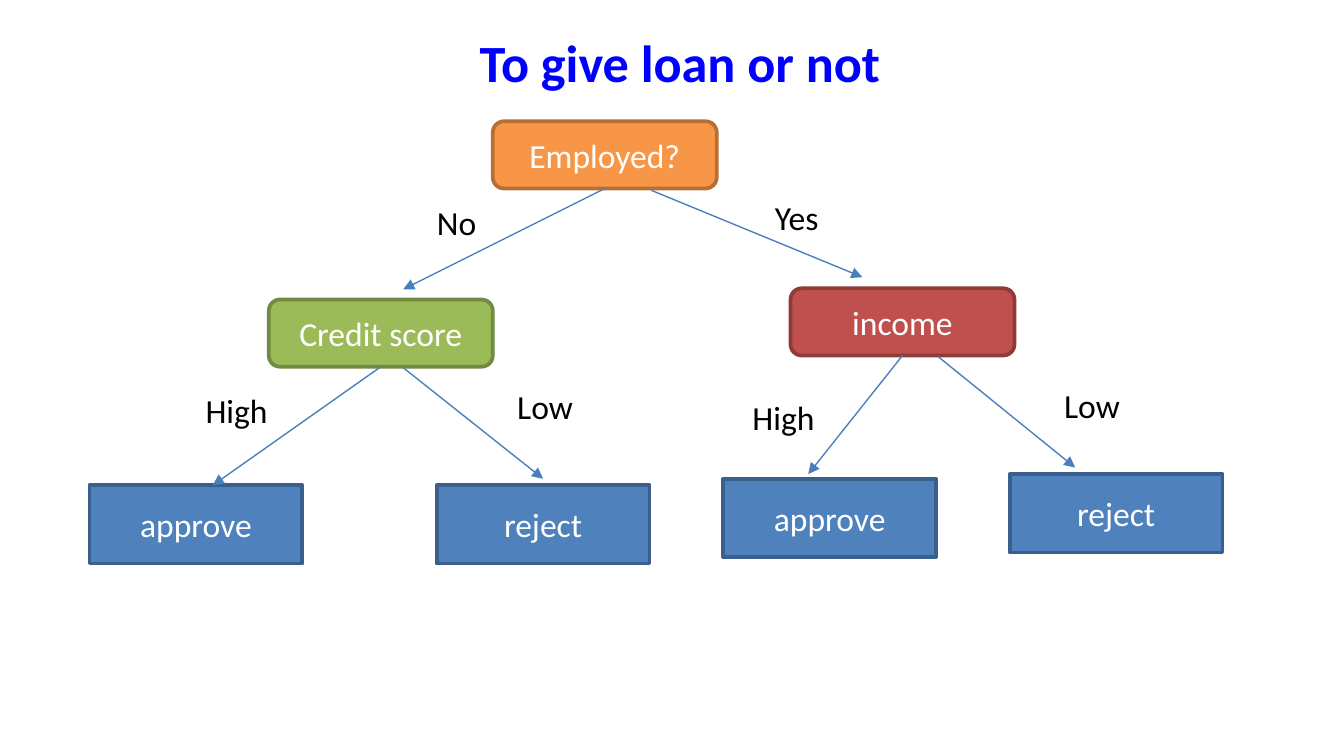
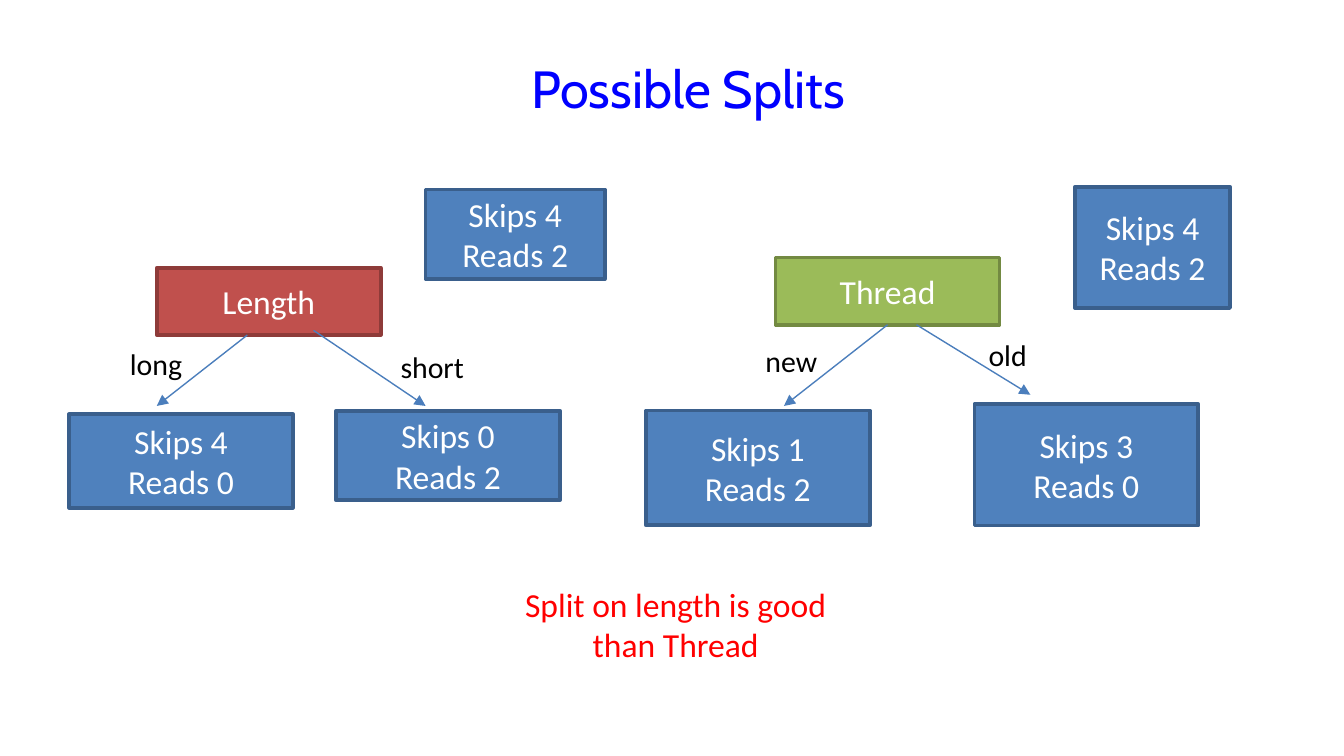
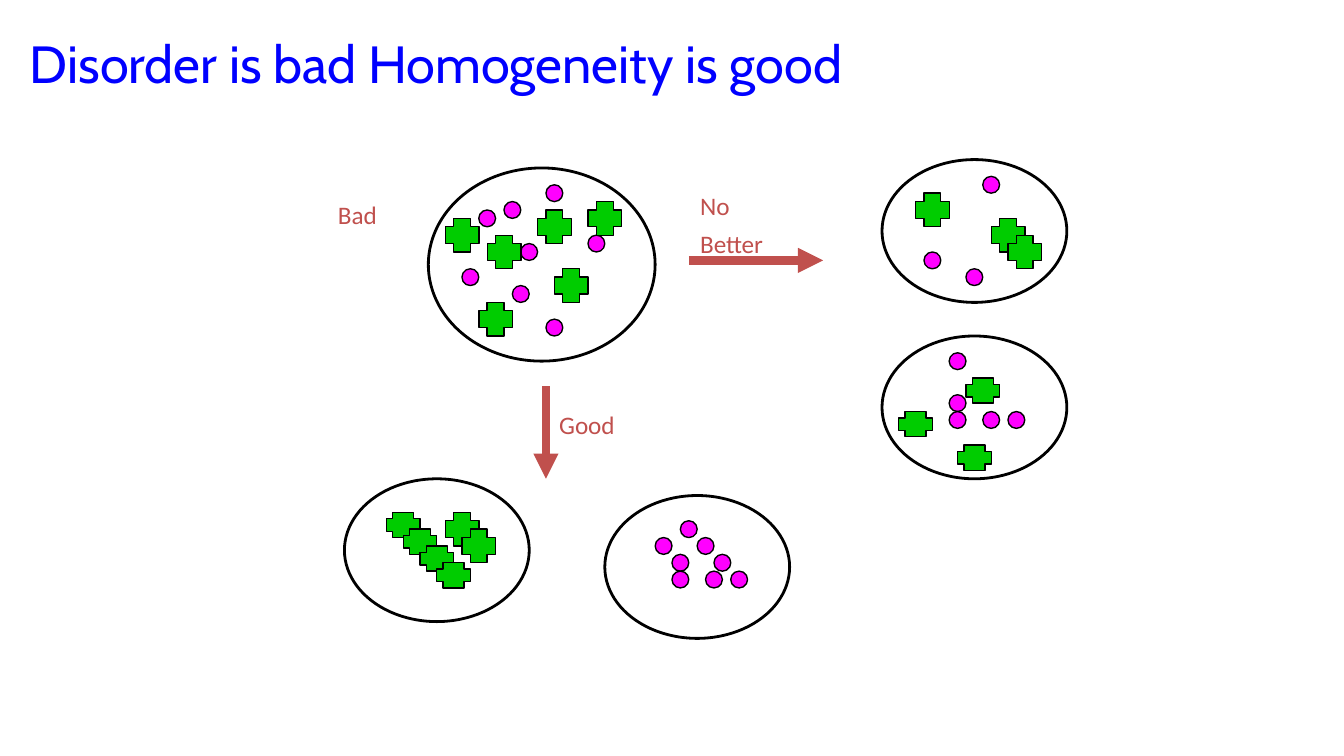
from dataclasses import dataclass

from lxml import etree
from pptx import Presentation
from pptx import util as u
from pptx.dml.color import RGBColor
from pptx.enum import shapes, text
from pptx.oxml.ns import qn


@dataclass(frozen=True)
class Theme:
    body: str = "Calibri"
    heading: str = "Cabin"
    title: str = "0000FF"
    ink: str = "000000"
    white: str = "FFFFFF"
    warning: str = "FF0000"
    accent: str = "C0504D"
    link: str = "4B7EBC"
    title_size: float = 28
    node_size: float = 18
    branch_size: float = 16
    note_size: float = 13.5


theme = Theme()
styles = {
    "orange": ("F79646", "B76F34", 2),
    "red": ("C0504D", "8E3B39", 2),
    "green": ("9BBB59", "738A42", 2),
    "blue": ("4F81BD", "3A5F8C", 2),
    "dot": ("FF00FF", theme.ink, 0.75),
    "cross": ("00CC00", theme.ink, 0.75),
    "ring": (None, theme.ink, 1.5),
}
forms = shapes.MSO_SHAPE
LEFT, CENTER = text.PP_ALIGN.LEFT, text.PP_ALIGN.CENTER
TOP, MIDDLE = text.MSO_ANCHOR.TOP, text.MSO_ANCHOR.MIDDLE
GROW, FIXED = text.MSO_AUTO_SIZE.SHAPE_TO_FIT_TEXT, text.MSO_AUTO_SIZE.NONE


def write(shape, words, size, color, face=theme.body, bold=False, align=LEFT,
          anchor=TOP, spacing=None, inset=None, wrap=True, fit=FIXED):
    frame = shape.text_frame
    frame.word_wrap, frame.auto_size, frame.vertical_anchor = wrap, fit, anchor
    if inset is not None:
        frame.margin_left = frame.margin_right = u.Pt(inset)
        frame.margin_top = frame.margin_bottom = u.Pt(inset)
    for number, line in enumerate(words.split("\n")):
        para = frame.add_paragraph() if number else frame.paragraphs[0]
        para.alignment = align
        para.line_spacing = spacing
        span = para.add_run()
        span.text = line
        span.font.name, span.font.size, span.font.bold = face, u.Pt(size), bold
        span.font.color.rgb = RGBColor.from_string(color)


def draw_arrow(page, ends, color, weight, source=None):
    arrow = page.shapes.add_connector(shapes.MSO_CONNECTOR.STRAIGHT, *map(u.Pt, ends))
    if source is not None:
        arrow.begin_connect(source, 2)
    arrow.line.color.rgb = RGBColor.from_string(color)
    arrow.line.width = u.Pt(weight)
    etree.SubElement(arrow.line._get_or_add_ln(), qn("a:tailEnd"), type="triangle")
    etree.SubElement(arrow._element.spPr, qn("a:effectLst"))


loan = {
    "title": ("To give loan or not", (257, 16, 219, 41), {"face": theme.body, "bold": True}),
    "boxes": [
        (forms.ROUNDED_RECTANGLE, "orange", (264, 65, 120, 36), "Employed?"),
        (forms.ROUNDED_RECTANGLE, "red", (423.5, 154.5, 120, 36), "income"),
        (forms.ROUNDED_RECTANGLE, "green", (144, 160.5, 120, 36), "Credit score"),
        (forms.RECTANGLE, "blue", (48, 260, 114, 42), "approve"),
        (forms.RECTANGLE, "blue", (234, 260, 114, 42), "reject"),
        (forms.RECTANGLE, "blue", (387.5, 256.5, 114, 42), "approve"),
        (forms.RECTANGLE, "blue", (541, 254, 114, 42), "reject"),
    ],
    "arrows": [
        ((324, 101, 216, 155), "Employed?"),
        ((349, 102, 462, 148.5), None),
        ((204, 196.5, 114, 260), "Credit score"),
        ((483.5, 190.5, 433, 254), "income"),
        ((216, 197, 291, 256.5), None),
        ((502.5, 191, 576, 250.5), None),
    ],
    "arrow_style": (theme.link, 0.75),
    "labels": [(words, (left, top, 54, 29), {}) for words, left, top in [
        ("No", 227, 104.5), ("Yes", 408, 102), ("High", 103, 205.5),
        ("Low", 270, 203), ("Low", 563, 202.5), ("High", 396, 209),
    ]],
    "label_style": {"size": theme.node_size, "color": theme.ink},
}

splits = {
    "title": ("Possible Splits", (284.5, 30, 238, 68), {}),
    "boxes": [(forms.RECTANGLE, *box) for box in [
        ("red", (84, 143.5, 120, 36), "Length"),
        ("green", (415.5, 138, 120, 36), "Thread"),
        ("blue", (576, 100, 83, 65), "Skips 4\nReads 2"),
        ("blue", (346, 220, 120, 61.5), "Skips 1\nReads 2"),
        ("blue", (522, 216.5, 120, 65), "Skips 3\nReads 0"),
        ("blue", (37, 222, 120, 50), "Skips 4\nReads 0"),
        ("blue", (180, 220, 120, 48), "Skips 0\nReads 2"),
        ("blue", (228, 101.5, 96, 48), "Skips 4\nReads 2"),
    ]],
    "arrows": [
        ((168, 177, 228, 217.5), None),
        ((132.5, 179.5, 84, 217.5), None),
        ((475.5, 174, 420, 217.5), "Thread"),
        ((491, 174, 552, 211.5), None),
    ],
    "arrow_style": (theme.link, 0.75),
    "labels": [(words, (left, top, 60, 26.5), {}) for words, left, top in [
        ("long", 62.5, 181.5), ("old", 522.5, 177),
        ("new", 403, 180), ("short", 207.5, 183),
    ]] + [("Split on length is good than Thread", (258, 309, 208, 51),
           {"size": theme.node_size, "color": theme.warning, "align": CENTER})],
    "label_style": {"size": theme.branch_size, "color": theme.ink},
}

step = 4.5
dots = [
    (60, 24), (57, 25), (62, 29), (55, 32), (61, 34), (65, 22), (70, 28), (65, 38),
    (81, 62), (83, 64), (85, 66), (87, 68), (78, 64), (80, 66), (80, 68), (84, 68),
    (117, 21), (115, 32), (113, 42), (120, 49), (110, 30), (113, 47), (113, 49), (117, 49),
]
flat_crosses = [(46, 61), (48, 63), (50, 65), (52, 67), (114, 53), (115, 45), (107, 49)]
crosses = [
    (58, 28), (64, 25), (53, 26), (57, 36), (66, 32), (70, 24),
    (53, 61), (55, 63), (118, 26), (120, 28), (109, 23),
]
rings = [(41, 57, 22, 17), (72, 59, 22, 17), (51, 20, 27, 23), (105, 19, 22, 17), (105, 40, 22, 17)]
members = (
    [(forms.OVAL, "dot", (*spot, 2, 2)) for spot in dots]
    + [(forms.CROSS, "cross", (*spot, 4, 3)) for spot in flat_crosses]
    + [(forms.CROSS, "cross", (*spot, 4, 4)) for spot in crosses]
    + [(forms.OVAL, "ring", ring) for ring in rings]
)
disorder = {
    "title": ("Disorder is bad Homogeneity is good", (16, 23, 702, 76), {"spacing": 0.8}),
    "boxes": [(form, style, [step * cell for cell in cells], "") for form, style, cells in members],
    "arrows": [([step * cell for cell in cells], None)
               for cells in [(65, 46, 65, 57), (82, 31, 98, 31)]],
    "arrow_style": (theme.accent, 4.5),
    "labels": [
        ("No\nBetter", (368, 94.5, 49, 47), {"spacing": 1.25}),
        ("Good", (292.5, 216, 44.5, 24), {}),
        ("Bad", (174, 103.5, 36, 24), {}),
    ],
    "label_style": {"size": theme.note_size, "color": theme.accent, "wrap": False},
}

deck = Presentation()
deck.slide_width, deck.slide_height = u.Pt(720), u.Pt(405)

for content in (loan, splits, disorder):
    page = deck.slides.add_slide(deck.slide_layouts[5])
    words, place, changes = content["title"]
    title = page.shapes.title
    title.left, title.top, title.width, title.height = map(u.Pt, place)
    write(title, words, **{"size": theme.title_size, "color": theme.title,
                           "face": theme.heading, "inset": 0, **changes})

    nodes = {}
    for form, style, place, words in content["boxes"]:
        fill, outline, weight = styles[style]
        box = page.shapes.add_shape(form, *map(u.Pt, place))
        box.shadow.inherit = False
        if fill:
            box.fill.solid()
            box.fill.fore_color.rgb = RGBColor.from_string(fill)
        else:
            box.fill.background()
        box.line.color.rgb = RGBColor.from_string(outline)
        box.line.width = u.Pt(weight)
        if words:
            write(box, words, theme.node_size, theme.white, align=CENTER, anchor=MIDDLE)
            nodes[words] = box

    for ends, source in content["arrows"]:
        draw_arrow(page, ends, *content["arrow_style"], source=nodes.get(source))

    for words, place, changes in content["labels"]:
        label = page.shapes.add_textbox(*map(u.Pt, place))
        write(label, words, **{"fit": GROW, **content["label_style"], **changes})

deck.save("out.pptx")
